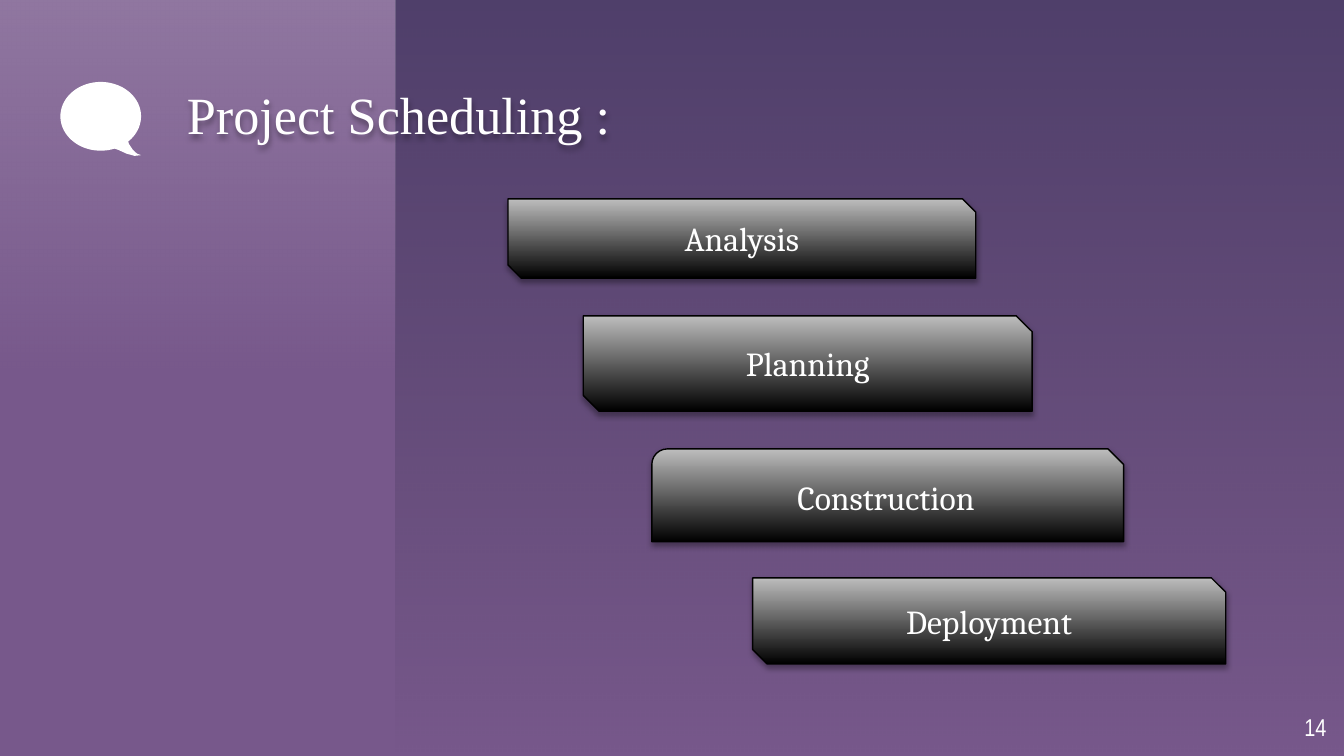
from math import cos, radians, sin

from lxml.etree import SubElement
from pptx import Presentation
from pptx.dml.color import RGBColor
from pptx.enum.shapes import MSO_SHAPE as Shape
from pptx.enum.text import MSO_ANCHOR as Anchor, PP_ALIGN as Align
from pptx.oxml.ns import qn
from pptx.util import Inches, Pt

WHITE = "FFFFFF"
STEPS = [
    ("Planning", Shape.SNIP_2_DIAG_RECTANGLE, (4.34, 2.35, 3.34, 0.71)),
    ("Analysis", Shape.SNIP_2_DIAG_RECTANGLE, (3.78, 1.48, 3.48, 0.59)),
    ("Construction", Shape.SNIP_ROUND_RECTANGLE, (4.85, 3.34, 3.51, 0.69)),
    ("Deployment", Shape.SNIP_2_DIAG_RECTANGLE, (5.6, 4.3, 3.52, 0.64)),
]


def color(value):
    return RGBColor.from_string(value)


def lengths(box):
    return [Inches(length) for length in box]


def fill_gradient(shape, colors, angle, alphas=()):
    shape.fill.gradient()
    shape.fill.gradient_angle = angle
    for stop, value in zip(shape.fill.gradient_stops, colors):
        stop.color.rgb = color(value)
    stops = shape._element.spPr.find(qn("a:gradFill")).iter(qn("a:srgbClr"))
    for node, alpha in zip(stops, alphas):
        SubElement(node, qn("a:alpha"), val=str(alpha * 1000))


def add_shadow(shape, blur, distance, alpha):
    shape.shadow.inherit = False
    effects = shape._element.spPr.find(qn("a:effectLst"))
    shadow = SubElement(effects, qn("a:outerShdw"), blurRad=str(Pt(blur)),
                        dist=str(Pt(distance)), dir="5400000", rotWithShape="0")
    shade = SubElement(shadow, qn("a:srgbClr"), val="000000")
    SubElement(shade, qn("a:alpha"), val=str(alpha * 1000))


def write_text(shape, text, font, size, align, anchor=Anchor.MIDDLE, margin=None):
    frame = shape.text_frame
    layout = {"word_wrap": True, "vertical_anchor": anchor}
    if margin is not None:
        for side in ("left", "top", "right", "bottom"):
            layout[f"margin_{side}"] = Inches(margin)
    for name, value in layout.items():
        setattr(frame, name, value)
    para = frame.paragraphs[0]
    para.alignment = align
    span = para.add_run()
    span.text = text
    for name, value in {"name": font, "size": Pt(size)}.items():
        setattr(span.font, name, value)
    span.font.color.rgb = color(WHITE)


def add_panel(page, box, tint, alphas):
    panel = page.shapes.add_shape(Shape.RECTANGLE, *lengths(box))
    panel.shadow.inherit = False
    panel.line.fill.background()
    fill_gradient(panel, tint, 270, alphas)


def add_title(page, box):
    title = page.shapes.title
    page.shapes._spTree.append(title._element)
    for name, value in zip(("left", "top", "width", "height"), lengths(box)):
        setattr(title, name, value)
    write_text(title, "Project Scheduling :", "Times New Roman", 28,
               Align.RIGHT, Anchor.TOP, 0)
    add_shadow(title, 3, 2, 35)


def add_page_number(page, box):
    number = page.shapes.add_textbox(*lengths(box))
    write_text(number, "14", "Arial Narrow", 13, Align.RIGHT, margin=0)


def add_bubble(page, box):
    left, top, width, height = box
    radius_x, radius_y = width / 2, height * 0.465
    arc = [(left + radius_x * (1 + cos(radians(angle))),
            top + radius_y * (1 + sin(radians(angle))))
           for angle in range(70, 408)]
    tail = [(0.85, 0.84), (0.9, 0.92), (0.95, 0.97), (1, 0.99),
            (0.92, 1), (0.82, 0.97), (0.72, 0.92)]
    points = arc + [(left + width * x, top + height * y) for x, y in tail]
    points = [(Inches(x), Inches(y)) for x, y in points]
    builder = page.shapes.build_freeform(*points[0])
    builder.add_line_segments(points[1:], close=True)
    bubble = builder.convert_to_shape()
    bubble.shadow.inherit = False
    bubble.fill.solid()
    bubble.fill.fore_color.rgb = color(WHITE)
    bubble.line.fill.background()


def add_step(page, box, label, kind):
    step = page.shapes.add_shape(kind, *lengths(box))
    fill_gradient(step, ("000000", "BDBDBD"), 90)
    step.line.color.rgb = color("000000")
    step.line.width = Pt(0.75)
    add_shadow(step, 3.1, 1.8, 35)
    write_text(step, label, "Cambria", 18, Align.CENTER)


def main():
    deck = Presentation()
    deck.slide_width = Inches(10)
    deck.slide_height = deck.slide_width * 9 // 16
    page = deck.slides.add_slide(deck.slide_layouts[5])
    page.background.fill.solid()
    page.background.fill.fore_color.rgb = color("77588B")
    add_panel(page, (2.94, -0.01, 7.06, 5.64), ("020F2B", "010C16"), (34, 0))
    add_panel(page, (-0.01, -0.01, 2.95, 2.83), (WHITE, WHITE), (19, 0))
    add_title(page, (0.34, 0.61, 4.2, 0.59))
    add_page_number(page, (9.27, 5.19, 0.6, 0.43))
    add_bubble(page, (0.45, 0.61, 0.6, 0.55))
    for label, kind, box in STEPS:
        add_step(page, box, label, kind)
    deck.save("out.pptx")


if __name__ == "__main__":
    main()
